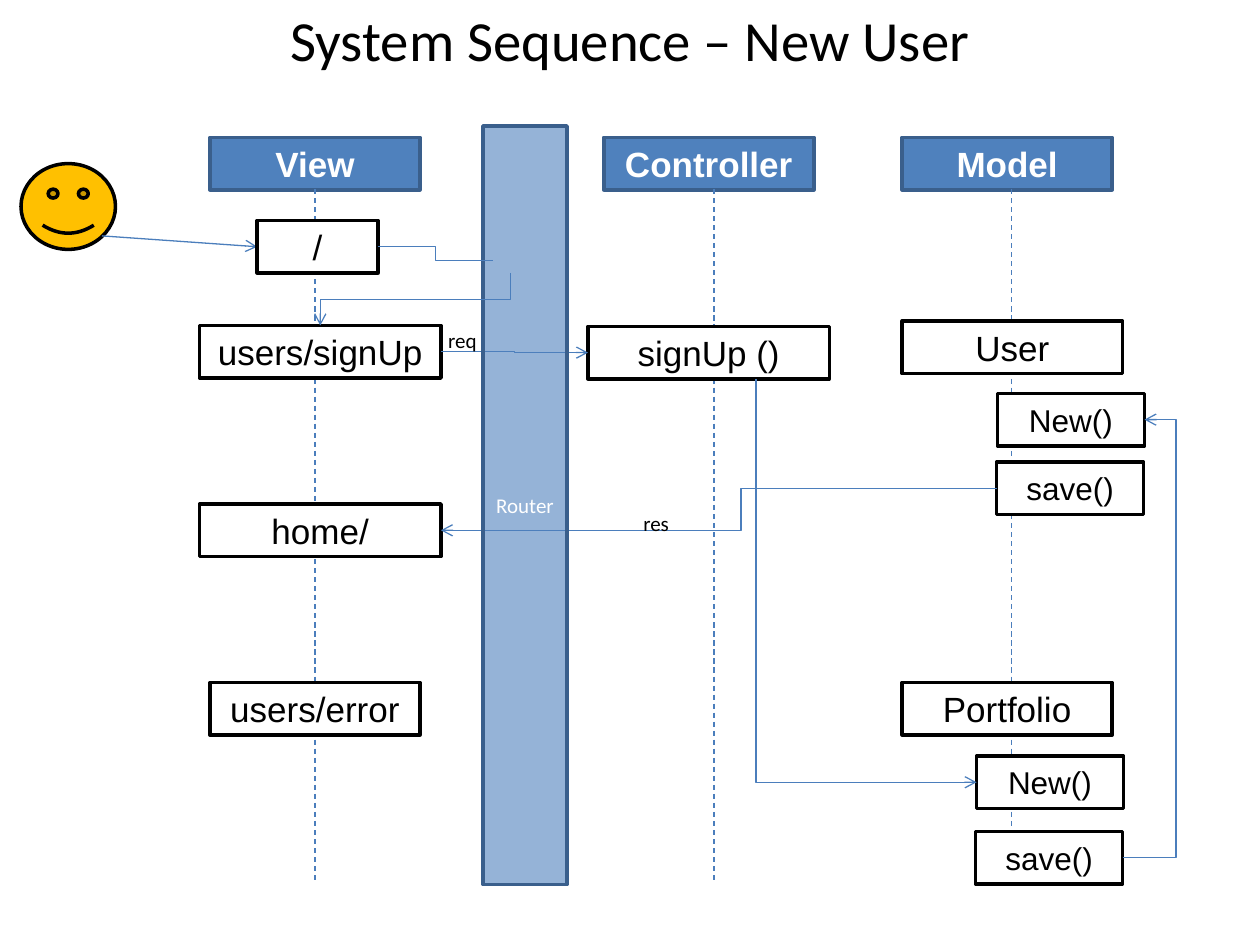
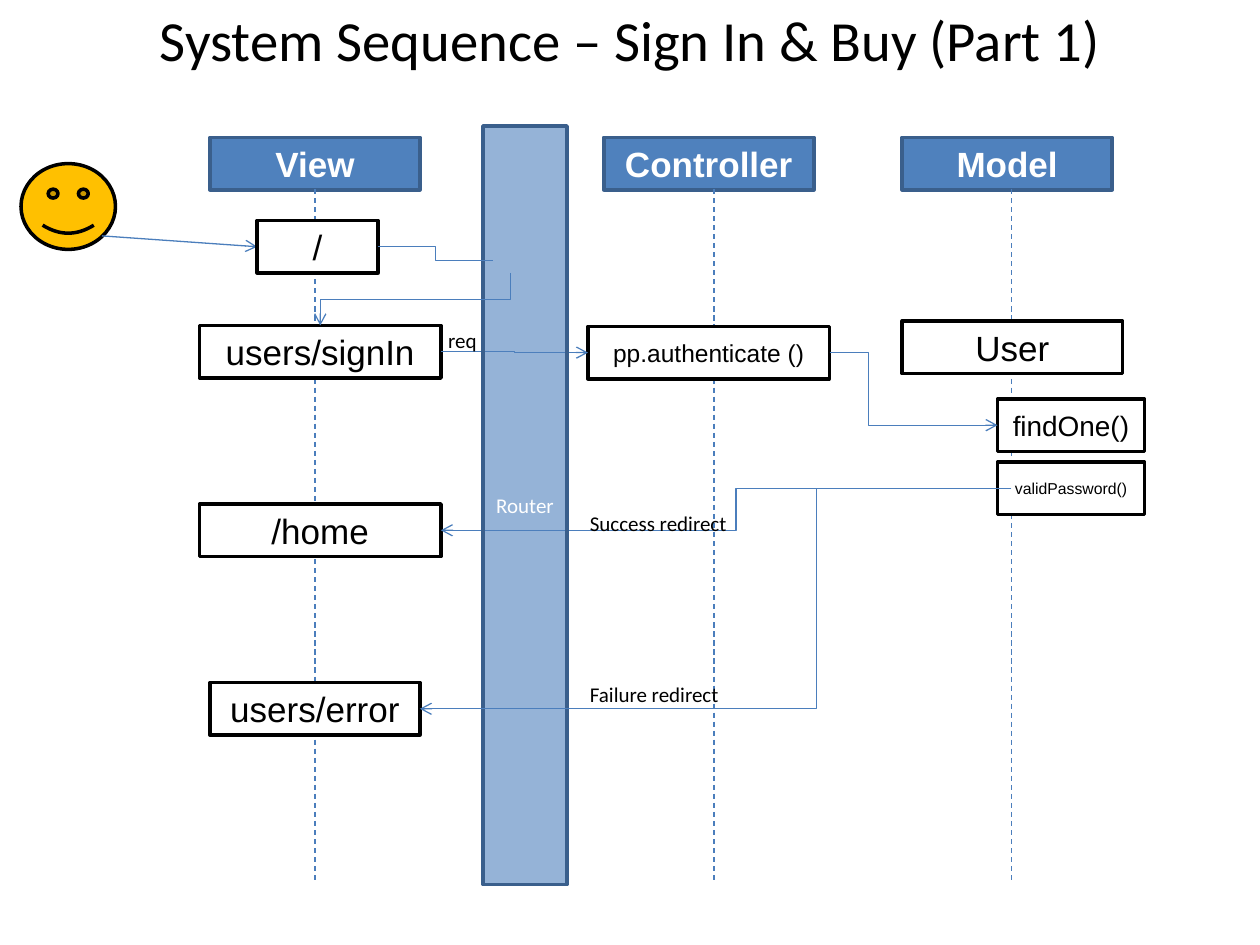
"""Builds two system sequence slides with lanes, calls and a router."""
from dataclasses import dataclass

from lxml import etree
from pptx import Presentation
from pptx.dml.color import RGBColor
from pptx.enum.dml import MSO_LINE
from pptx.enum.shapes import MSO_CONNECTOR, MSO_SHAPE
from pptx.enum.text import MSO_ANCHOR, MSO_AUTO_SIZE, PP_ALIGN
from pptx.oxml.ns import qn
from pptx.util import Pt

PROCESS = MSO_SHAPE.FLOWCHART_PROCESS
SMILEY = MSO_SHAPE.SMILEY_FACE
RECT = MSO_SHAPE.RECTANGLE
STRAIGHT = MSO_CONNECTOR.STRAIGHT
ELBOW = MSO_CONNECTOR.ELBOW
DASH = MSO_LINE.DASH
MIDDLE = MSO_ANCHOR.MIDDLE
CENTER = PP_ALIGN.CENTER
LEFT = PP_ALIGN.LEFT
NO_FIT = MSO_AUTO_SIZE.NONE
GROW = MSO_AUTO_SIZE.SHAPE_TO_FIT_TEXT

ROW = 30
WIDE, MID, SLIM = 138, 120, 84
VIEW, CONTROL, MODEL = 120, 345, 515.5
LANES = (("Model", MODEL, 578), ("Controller", CONTROL, 408), ("View", VIEW, 180))


@dataclass(frozen=True)
class Theme:
    """Colours, fonts and sizes in points."""
    ink: str = "000000"
    paper: str = "FFFFFF"
    blue: str = "4F81BD"
    edge: str = "3A5F8C"
    wire: str = "4B7EBC"
    gold: str = "FFC000"
    head: str = "Calibri"
    body: str = "Arial"
    title: float = 32.4
    large: int = 20
    call: int = 18
    mid: int = 16
    small: int = 14
    label: int = 12
    tiny: int = 9
    border: float = 2
    thin: float = 0.75


class Deck:
    """Holds the theme and the slide being drawn."""

    def __init__(self, theme):
        """Open an empty deck."""
        self.theme = theme
        self.deck = Presentation()
        self.deck.slide_width, self.deck.slide_height = Pt(720), Pt(540)

    def letter(self, shape, text, size, font, color, bold=False, align=CENTER):
        """Set and format the text of a shape."""
        frame = shape.text_frame
        frame.text = text
        frame.vertical_anchor = MIDDLE
        para = frame.paragraphs[0]
        para.alignment = align
        for run in para.runs:
            face = run.font
            face.name, face.size, face.bold = font, Pt(size), bold
            face.color.rgb = RGBColor.from_string(color)

    def page(self, title):
        """Add a slide with its title."""
        self.slide = self.deck.slides.add_slide(self.deck.slide_layouts[5])
        self.shapes = self.slide.shapes
        shape = self.shapes.title
        shape.left, shape.top, shape.width, shape.height = map(Pt, (36, 6, 648, 32.4))
        self.letter(shape, title, self.theme.title, self.theme.head, self.theme.ink)
        shape.text_frame.auto_size = NO_FIT

    def form(self, kind, place, fill, edge):
        """Add a filled and outlined shape."""
        shape = self.shapes.add_shape(kind, *map(Pt, place))
        shape.shadow.inherit = False
        shape.fill.solid()
        shape.fill.fore_color.rgb = RGBColor.from_string(fill)
        shape.line.color.rgb = RGBColor.from_string(edge)
        shape.line.width = Pt(self.theme.border)
        return shape

    def box(self, text, x, y, width, size=None):
        """Add a white step box."""
        look = self.theme
        shape = self.form(PROCESS, (x, y, width, ROW), look.paper, look.ink)
        self.letter(shape, text, size or look.large, look.body, look.ink)

    def header(self, text, x):
        """Add a blue lane header."""
        look = self.theme
        shape = self.form(PROCESS, (x, 78.5, MID, ROW), look.blue, look.edge)
        self.letter(shape, text, look.large, look.body, look.paper, bold=True)

    def label(self, text, x, y, width):
        """Add a small caption on a wire."""
        look = self.theme
        shape = self.shapes.add_textbox(*map(Pt, (x, y, width, 21.6)))
        self.letter(shape, text, look.label, look.head, look.ink, align=LEFT)
        shape.text_frame.word_wrap = False
        shape.text_frame.auto_size = GROW

    def wire(self, start, end, kind=STRAIGHT, arrow=True, dash=False):
        """Add a thin line and return its properties element."""
        wire = self.shapes.add_connector(kind, *map(Pt, start + end))
        wire.line.color.rgb = RGBColor.from_string(self.theme.wire)
        wire.line.width = Pt(self.theme.thin)
        if dash:
            wire.line.dash_style = DASH
        props = wire._element.spPr
        if arrow:
            etree.SubElement(props.find(qn("a:ln")), qn("a:tailEnd"), type="arrow")
        etree.SubElement(props, qn("a:effectLst"))
        return props

    def adjust(self, props, ratio):
        """Set where an elbow turns."""
        guides = props.find(qn("a:prstGeom")).find(qn("a:avLst"))
        etree.SubElement(guides, qn("a:gd"), name="adj1", fmla=f"val {round(ratio * 100000)}")

    def bend(self, start, end, ratio=0.5, arrow=True):
        """Add an elbow that leaves sideways and turns at a ratio."""
        self.adjust(self.wire(start, end, ELBOW, arrow), ratio)

    def drop(self, start, end, single=False):
        """Add an elbow that leaves downward, with one turn or two."""
        (x1, y1), (x2, y2) = start, end
        side = 1 if x2 < x1 else -1
        mid_x, mid_y = (x1 + x2) / 2, (y1 + y2) / 2
        half_x, half_y = side * (x2 - x1) / 2, side * (y2 - y1) / 2
        props = self.wire((mid_x - half_y, mid_y + half_x),
                          (mid_x + half_y, mid_y - half_x), ELBOW)
        props.find(qn("a:xfrm")).set("rot", str((90 if side > 0 else 270) * 60000))
        if single:
            props.find(qn("a:prstGeom")).set("prst", "bentConnector2")
        else:
            self.adjust(props, 0.5)

    def router(self):
        """Add the see-through router band."""
        look = self.theme
        band = self.form(RECT, (276, 72, 48, 433.5), look.blue, look.edge)
        tint = band._element.spPr.find(qn("a:solidFill"))[0]
        etree.SubElement(tint, qn("a:alpha"), val="60000")
        self.letter(band, "Router", look.label, look.head, look.paper)

    def lanes(self, title, view, home, control, size=None):
        """Start a slide with the lanes, the user and the shared steps."""
        self.page(title)
        for name, x, _ in LANES:
            self.header(name, x)
        self.form(SMILEY, (12, 93.5, 54, 49), self.theme.gold, self.theme.ink)
        for _, _, axis in reversed(LANES):
            self.wire((axis, 108), (axis, 504), arrow=False, dash=True)
        self.box(view, 114, 186, WIDE)
        self.box("users/error", VIEW, 390, MID)
        self.wire((58.3, 134.8), (147, 141))
        self.box(home, 114, 288, WIDE)
        self.box(control, 336, 186.5, WIDE, size)
        self.box("User", MODEL, 183.5, 126)

    def entry(self):
        """Add the request through the router."""
        self.bend((252, 201), (336, 201.5))
        self.router()
        self.box("/", 147, 126, 69)
        self.drop((291.6, 156), (183, 186))
        self.bend((216, 141), (282, 149), arrow=False)
        self.label("req", 249, 183.5, 31)


def sign_up(deck):
    """Draw the new user sequence."""
    call = deck.theme.call
    deck.lanes("System Sequence – New User", "users/signUp", "home/", "signUp ()")
    deck.box("Portfolio", MODEL, 390, MID)
    for text, x, y in (("New()", 570, 224.8), ("save()", 569.5, 264),
                       ("New()", 558, 432), ("save()", 557.5, 475.2)):
        deck.box(text, x, y, SLIM, call)
    deck.drop((432, 216.5), (558, 447), single=True)
    deck.bend((641.5, 490), (654, 239.8), 2.44)
    deck.bend((569.5, 279), (252, 303), 0.46)
    deck.entry()
    deck.label("res", 360.5, 288, 29.5)


def sign_in(deck):
    """Draw the sign in and buy sequence."""
    look = deck.theme
    deck.lanes("System Sequence – Sign In & Buy (Part 1)", "users/signIn", "/home",
               "pp.authenticate ()", look.small)
    deck.bend((570, 279), (252, 303), 0.47)
    deck.entry()
    deck.label("Success redirect", 330, 288, 93.5)
    deck.box("findOne()", 570, 228, SLIM, look.mid)
    deck.box("validPassword()", 570, 264, SLIM, look.tiny)
    deck.bend((578, 279), (240, 405), 0.33)
    deck.label("Failure redirect", 330, 386, 88.5)
    deck.bend((474, 201.5), (570, 243), 0.23)


def main():
    """Build and save the deck."""
    deck = Deck(Theme())
    sign_up(deck)
    sign_in(deck)
    deck.deck.save("out.pptx")


if __name__ == "__main__":
    main()
